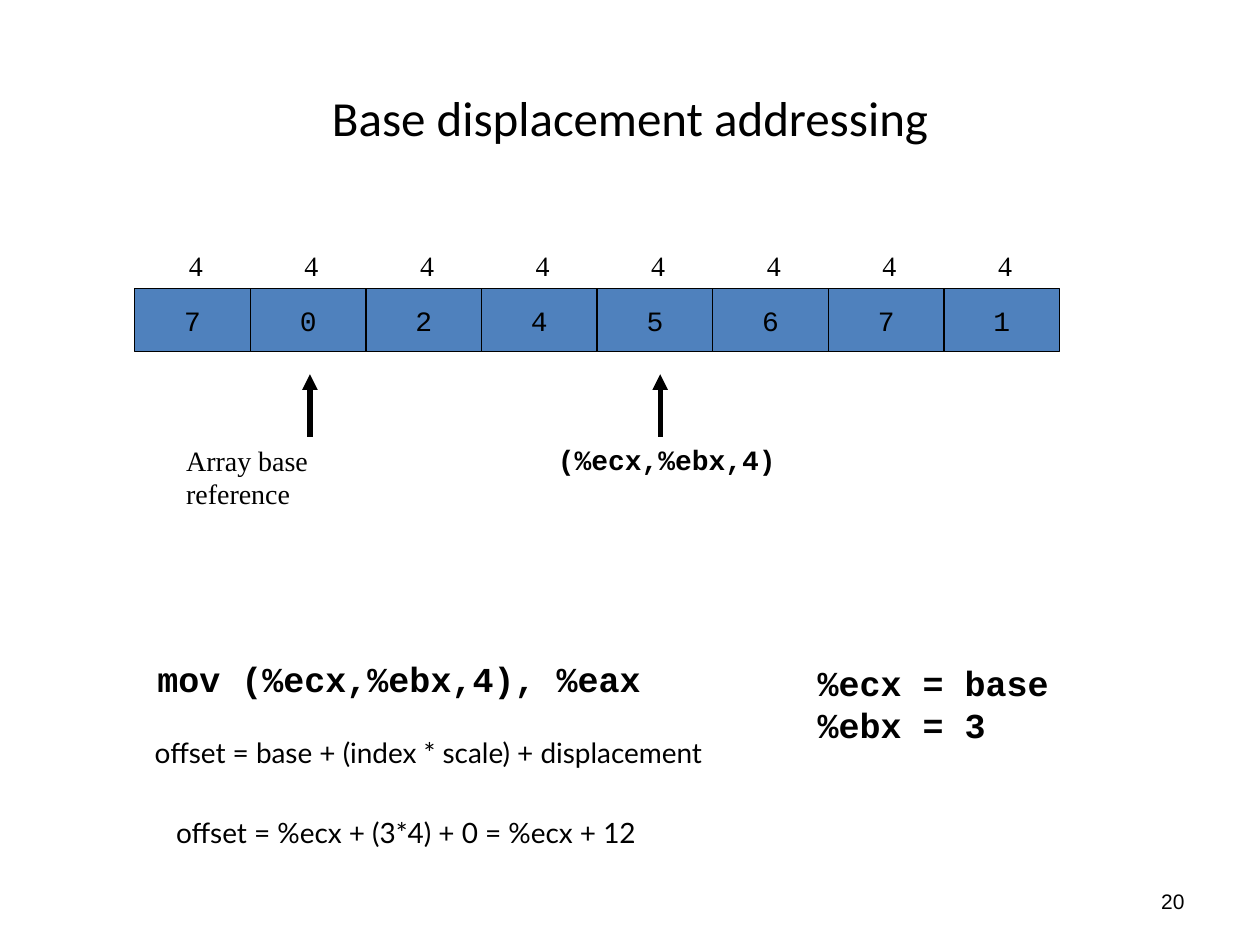
import lxml.etree
import pptx
import pptx.dml.color
import pptx.enum.shapes
import pptx.enum.text
import pptx.oxml.ns
import pptx.util

Inches = pptx.util.Inches
Align = pptx.enum.text.PP_ALIGN
Anchor = pptx.enum.text.MSO_ANCHOR

COLORS = {"ink": "000000", "cell": "4F81BD"}
FONTS = {
    "title": "Calibri",
    "code": "Courier New",
    "label": "Times New Roman",
    "formula": "Lato",
    "number": "Arial",
}


class SlideBuilder:
    def __init__(self, presentation):
        self.slide = presentation.slides.add_slide(presentation.slide_layouts[5])

    def color(self, name):
        return pptx.dml.color.RGBColor.from_string(COLORS[name])

    def fill_text(self, frame, lines, font, size, bold=False, align=Align.LEFT):
        for index, line in enumerate(lines):
            paragraph = frame.add_paragraph() if index else frame.paragraphs[0]
            paragraph.alignment = align
            run = paragraph.add_run()
            run.text = line
            run.font.name = FONTS[font]
            run.font.size = pptx.util.Pt(size)
            run.font.bold = bold
            run.font.color.rgb = self.color("ink")

    def title(self, text):
        shape = self.slide.shapes.title
        shape.left, shape.top = Inches(0.5), Inches(0.3)
        shape.width, shape.height = Inches(9), Inches(1.25)
        shape.text_frame.vertical_anchor = Anchor.MIDDLE
        self.fill_text(shape.text_frame, [text], "title", 28, align=Align.CENTER)

    def text(self, left, top, width, height, lines, font, size=16, bold=False):
        shape = self.slide.shapes.add_textbox(
            Inches(left), Inches(top), Inches(width), Inches(height)
        )
        shape.text_frame.word_wrap = False
        shape.text_frame.auto_size = pptx.enum.text.MSO_AUTO_SIZE.SHAPE_TO_FIT_TEXT
        self.fill_text(shape.text_frame, lines, font, size, bold)

    def slide_number(self, number):
        shape = self.slide.shapes.add_textbox(
            Inches(7.17), Inches(6.95), Inches(2.33), Inches(0.4)
        )
        shape.text_frame.word_wrap = True
        shape.text_frame.vertical_anchor = Anchor.MIDDLE
        self.fill_text(shape.text_frame, [number], "number", 12, align=Align.RIGHT)

    def cell(self, left, top, width, height, value):
        shape = self.slide.shapes.add_shape(
            pptx.enum.shapes.MSO_SHAPE.RECTANGLE,
            Inches(left), Inches(top), Inches(width), Inches(height),
        )
        shape.shadow.inherit = False
        shape.fill.solid()
        shape.fill.fore_color.rgb = self.color("cell")
        shape.line.color.rgb = self.color("ink")
        shape.line.width = pptx.util.Pt(0.75)
        shape.text_frame.word_wrap = False
        shape.text_frame.vertical_anchor = Anchor.MIDDLE
        self.fill_text(shape.text_frame, [value], "code", 16, align=Align.CENTER)

    def up_arrow(self, x, top, bottom):
        connector = self.slide.shapes.add_connector(
            pptx.enum.shapes.MSO_CONNECTOR.STRAIGHT,
            Inches(x), Inches(top), Inches(x), Inches(bottom),
        )
        connector.line.color.rgb = self.color("ink")
        connector.line.width = pptx.util.Pt(3)
        qualified = pptx.oxml.ns.qn
        properties = connector._element.spPr
        line = properties.find(qualified("a:ln"))
        lxml.etree.SubElement(line, qualified("a:headEnd"), type="triangle")
        lxml.etree.SubElement(properties, qualified("a:effectLst"))


def main():
    presentation = pptx.Presentation()
    presentation.slide_width = Inches(10)
    presentation.slide_height = Inches(7.5)
    builder = SlideBuilder(presentation)
    builder.title("Base displacement addressing")

    array_left, array_right = 1.07, 8.41
    values = "70245671"
    cell_width = (array_right - array_left) / len(values)
    for index, value in enumerate(values):
        left = array_left + index * cell_width
        builder.cell(left, 2.29, cell_width, 0.5, value)
        builder.text(left + 0.33, 1.92, 0.31, 0.37, ["4"], "label")

    for x in (2.46, 5.24):
        builder.up_arrow(x, 2.97, 3.47)
    builder.text(1.38, 3.47, 2.04, 0.37, ["Array base reference"], "label")
    builder.text(4.33, 3.46, 1.93, 0.37, ["(%ecx,%ebx,4)"], "code", bold=True)

    builder.text(1.15, 5.17, 4.04, 0.44, ["mov (%ecx,%ebx,4), %eax"], "code", 20, True)
    builder.text(6.39, 5.2, 2.04, 0.77, ["%ecx = base", "%ebx = 3"], "code", 20, True)
    builder.text(
        1.13, 5.79, 4.87, 0.37,
        ["offset = base + (index * scale) + displacement"], "formula",
    )
    builder.text(
        1.3, 6.42, 3.96, 0.37, ["offset = %ecx + (3*4) + 0 = %ecx + 12"], "formula"
    )
    builder.slide_number("20")
    presentation.save("out.pptx")


if __name__ == "__main__":
    main()
